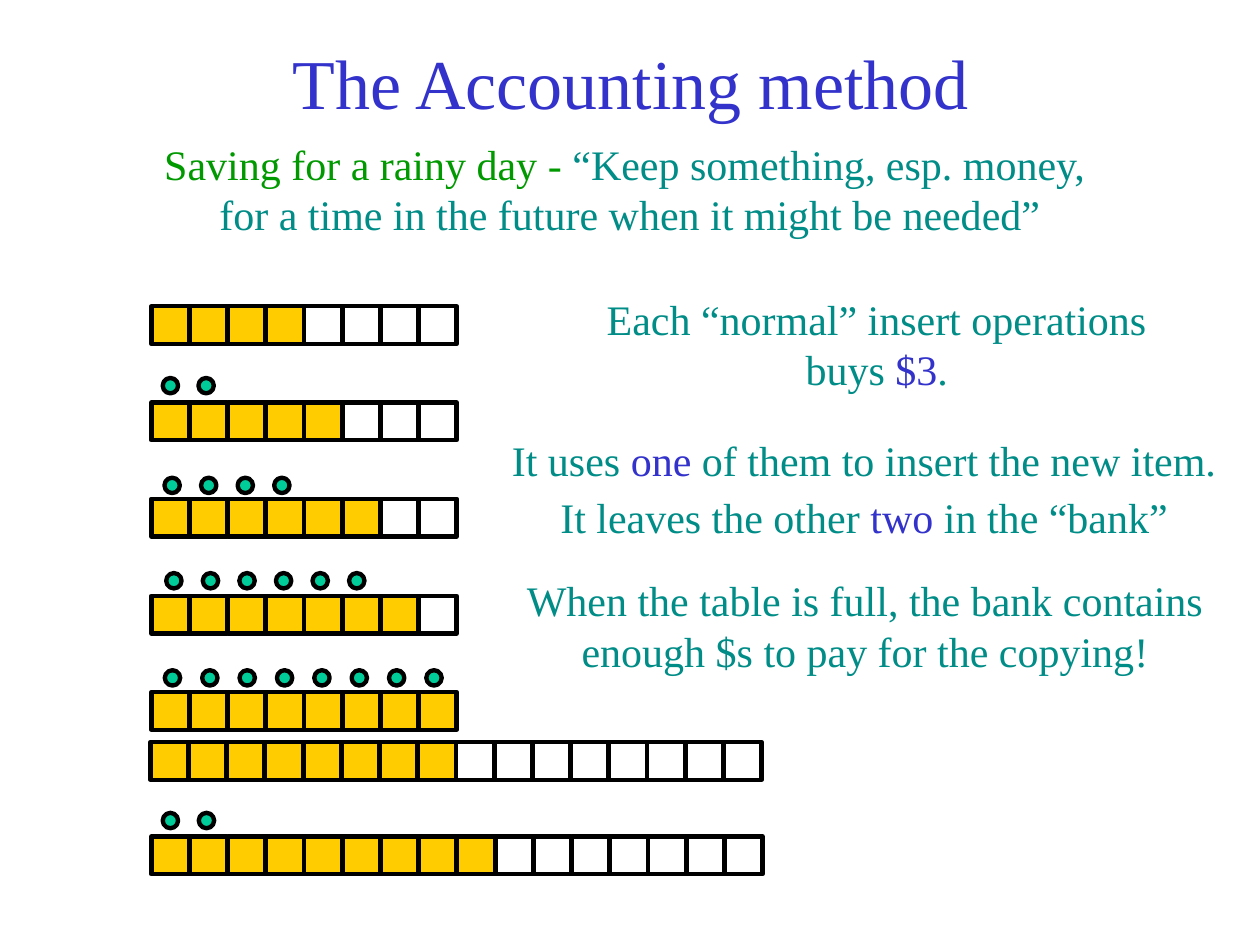
from pptx import Presentation
from pptx.dml.color import RGBColor
from pptx.enum.shapes import MSO_SHAPE as Shape
from pptx.enum.text import MSO_ANCHOR as Anchor, PP_ALIGN as Align
from pptx.util import Pt

BLUE = RGBColor(0x33, 0x33, 0xCC)
GREEN = RGBColor(0x00, 0x99, 0x00)
TEAL = RGBColor(0x00, 0x8C, 0x87)
GOLD = RGBColor(0xFF, 0xCC, 0x00)
MINT = RGBColor(0x00, 0xCC, 0x99)
BLACK = RGBColor(0x00, 0x00, 0x00)


def add_text(left, top, width, height, parts, size=24):
    box = slide.shapes.add_textbox(Pt(left), Pt(top), Pt(width), Pt(height))
    frame = box.text_frame
    frame.word_wrap = True
    frame.vertical_anchor = Anchor.MIDDLE if size > 24 else Anchor.TOP
    par = frame.paragraphs[0]
    par.alignment = Align.CENTER
    for text, color in parts:
        for num, line in enumerate(text.split("\n")):
            if num:
                par.add_line_break()
            run = par.add_run()
            run.text = line
            run.font.name = "Times New Roman"
            run.font.size = Pt(size)
            run.font.color.rgb = color


def add_row(kind, count, left, top, size, pitch, color, full):
    group = slide.shapes.add_group_shape()
    for num in range(count):
        item = group.shapes.add_shape(
            kind, Pt(left + num * pitch), Pt(top), Pt(size), Pt(size))
        item.shadow.inherit = False
        item.line.color.rgb = BLACK
        item.line.width = Pt(2.5)
        if num < full:
            item.fill.solid()
            item.fill.fore_color.rgb = color
        else:
            item.fill.background()


deck = Presentation()
deck.slide_width, deck.slide_height = Pt(720), Pt(540)
slide = deck.slides.add_slide(deck.slide_layouts[6])

add_text(0.5, 15, 720, 63, [("The Accounting method", BLUE)], 40)
add_text(0, 75.5, 720, 65.5, [
    ("Saving for a rainy day - ", GREEN),
    ("“Keep something, esp. money, \n"
     "for a time in the future when it might be needed”", TEAL)])

tables = [
    (8, 4, 86.5, 175),
    (8, 5, 86.5, 230),
    (8, 6, 86.5, 285),
    (8, 7, 86.5, 340.5),
    (8, 8, 86.5, 395.5),
    (16, 8, 86, 424),
    (16, 9, 86.5, 478),
]
for count, full, left, top in tables:
    add_row(Shape.RECTANGLE, count, left, top, 21.6, 21.84, GOLD, full)

coins = [
    (2, 93, 216, 20.4),
    (4, 94, 273, 20.9),
    (6, 95, 327.5, 20.9),
    (8, 94.2, 383, 21.35),
    (2, 93, 464.5, 20.6),
]
for count, left, top, pitch in coins:
    add_row(Shape.OVAL, count, left, top, 8.8, pitch, MINT, count)

add_text(303, 164, 402, 65.5, [
    ("Each “normal” insert operations \nbuys ", TEAL),
    ("$3", BLUE), (". ", TEAL)])
add_text(282.5, 245, 422.5, 36, [
    ("It uses ", TEAL), ("one", BLUE),
    (" of them to insert the new item.", TEAL)])
add_text(282.5, 277.5, 422.5, 36, [
    ("It leaves the other ", TEAL), ("two", BLUE),
    (" in the “bank”", TEAL)])
add_text(283, 325, 422.5, 65.5, [
    ("When the table is full, the bank contains "
     "enough $s to pay for the copying!", TEAL)])

deck.save("out.pptx")
